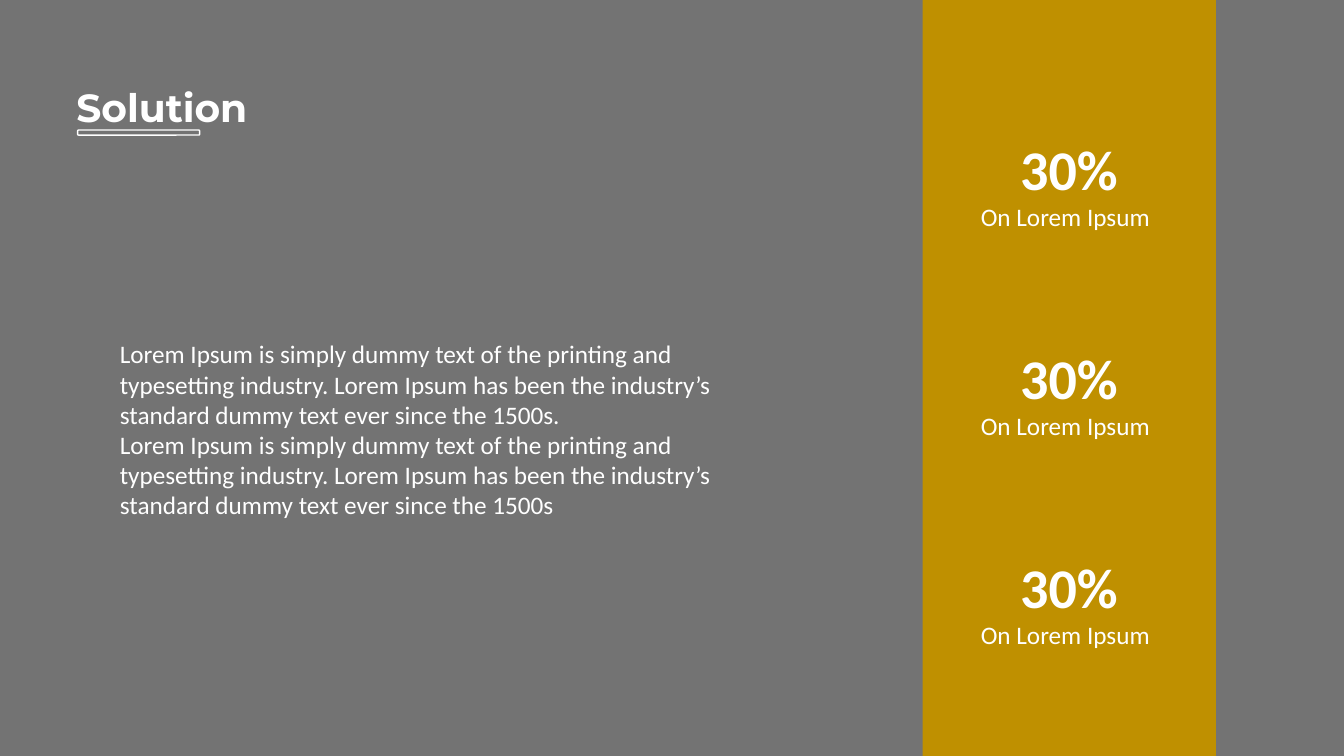
from dataclasses import dataclass

from lxml.etree import SubElement
from pptx import Presentation
from pptx.dml.color import RGBColor as Rgb
from pptx.enum.shapes import MSO_SHAPE as Shape
from pptx.enum.text import MSO_AUTO_SIZE as AutoSize
from pptx.oxml.ns import qn
from pptx.util import Emu, Pt

PX = 9144  # EMU per px, 100 px to the inch
WIDTH, HEIGHT = 1333, 750


@dataclass(frozen=True)
class Theme:
    white: Rgb = Rgb(0xFF, 0xFF, 0xFF)
    black: Rgb = Rgb(0, 0, 0)
    gold: Rgb = Rgb(0xBF, 0x90, 0x00)
    heading_font: str = "Montserrat"
    body_font: str = "Calibri"
    heading_size: int = 28
    body_size: int = 18
    figure_size: int = 40


class SlideBuilder:
    def __init__(self, slide, theme):
        self.slide = slide
        self.theme = theme

    def px(self, *lengths):
        return [Emu(length * PX) for length in lengths]

    def background(self, color):
        fill = self.slide.background.fill
        fill.solid()
        fill.fore_color.rgb = color

    def box(self, at, fill=None, line=None, kind=Shape.RECTANGLE, opacity=100):
        shape = self.slide.shapes.add_shape(kind, *self.px(*at))
        shape.shadow.inherit = False
        if fill is None:
            shape.fill.background()
        else:
            shape.fill.solid()
            shape.fill.fore_color.rgb = fill
            if opacity < 100:
                color = shape.fill._xPr.find(qn("a:solidFill"))[0]
                SubElement(color, qn("a:alpha"), val=str(opacity * 1000))
        if line is None:
            shape.line.fill.background()
        else:
            shape.line.color.rgb = line
            shape.line.width = Pt(1)

    def text(self, at, paragraphs, size, font=None, bold=False, wrap=True, spacing=None):
        frame = self.slide.shapes.add_textbox(*self.px(*at)).text_frame
        frame.word_wrap = wrap
        frame.auto_size = AutoSize.SHAPE_TO_FIT_TEXT
        frame.text = "\n".join(paragraphs)
        style = {"name": font or self.theme.body_font, "size": Pt(size), "bold": bold}
        for paragraph in frame.paragraphs:
            paragraph.line_spacing = spacing
            for run in paragraph.runs:
                for key, value in style.items():
                    setattr(run.font, key, value)
                run.font.color.rgb = self.theme.white


def main():
    deck = Presentation()
    deck.slide_width, deck.slide_height = Emu(WIDTH * PX), Emu(HEIGHT * PX)
    theme = Theme()
    page = SlideBuilder(deck.slides.add_slide(deck.slide_layouts[6]), theme)

    # Backdrop
    page.background(theme.white)
    page.box((0, 0, WIDTH, HEIGHT), theme.black, opacity=55)

    # Heading with its underline
    page.text((66, 71, 208, 64), ["Solution"], theme.heading_size,
              font=theme.heading_font, bold=True, spacing=1.15)
    page.box((77, 129, 121, 5), line=theme.white, kind=Shape.ROUNDED_RECTANGLE)

    # Description
    opening = "Lorem Ipsum is simply dummy text of the printing and"
    ending = ("typesetting industry. Lorem Ipsum has been the industry’s "
              "standard dummy text ever since the 1500s")
    page.text((109, 331, 623, 222), [opening, ending + ".", opening, ending],
              theme.body_size)

    # Gold band with three figures
    page.box((915, 0, 291, HEIGHT), theme.gold)
    first_top, pitch, caption_offset = 129, 207, 66
    for row in range(3):
        top = first_top + row * pitch
        page.text((1002, top, 117, 77), ["30%"], theme.figure_size,
                  bold=True, wrap=False)
        page.text((963, top + caption_offset, 196, 40), ["On Lorem Ipsum"],
                  theme.body_size, wrap=False)

    deck.save("out.pptx")


if __name__ == "__main__":
    main()
